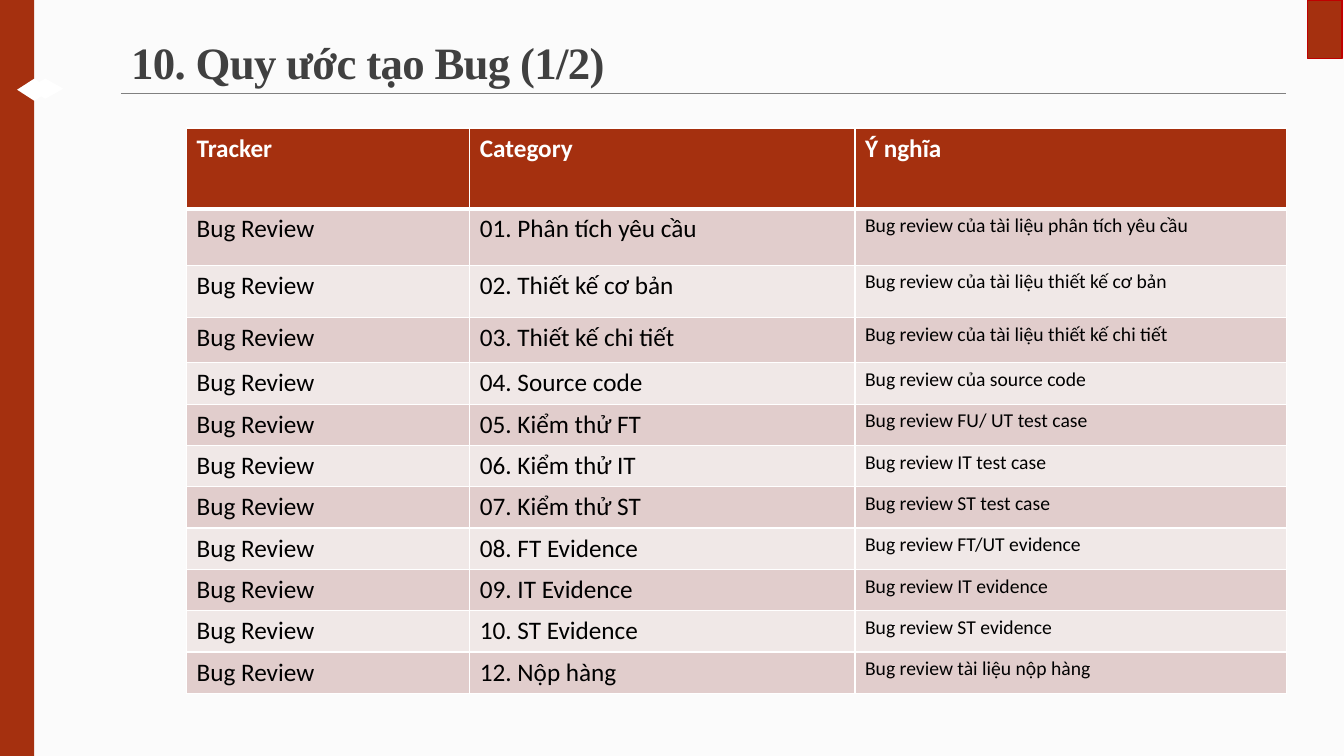
from dataclasses import dataclass

import lxml.etree
import pptx
import pptx.dml.color
import pptx.enum.shapes
import pptx.enum.text
import pptx.oxml.ns
import pptx.slide
import pptx.table
import pptx.text.text
import pptx.util

Inches = pptx.util.Inches
MSO_SHAPE = pptx.enum.shapes.MSO_SHAPE

COLORS = {
    "background": "FBFBFB",
    "accent": "A5300F",
    "tab_line": "C00000",
    "rule": "808080",
    "title": "404040",
    "white": "FFFFFF",
    "black": "000000",
    "band_dark": "E1CDCC",
    "band_light": "F0E8E7",
}


@dataclass(frozen=True)
class Decoration:
    kind: int
    left: float
    top: float
    width: float
    height: float
    fill: str
    line: str | None = None


@dataclass(frozen=True)
class BugRule:
    category: str
    meaning: str
    height: float = 0.41


DECORATIONS = [
    Decoration(MSO_SHAPE.RECTANGLE, 12.97, 0, 0.34, 0.58, "accent", "tab_line"),
    Decoration(MSO_SHAPE.DIAMOND, 0.27, 0.78, 0.36, 0.2, "white"),
    Decoration(MSO_SHAPE.RECTANGLE, 0, 0, 0.34, 7.5, "accent"),
    Decoration(MSO_SHAPE.DIAMOND, 0.17, 0.78, 0.34, 0.22, "white"),
]

TRACKER = "Bug Review"
HEADINGS = ("Tracker", "Category", "Ý nghĩa")
HEADING_HEIGHT = 0.8
COLUMN_WIDTHS = (2.81, 3.82, 4.28)
BUG_RULES = [
    BugRule("01. Phân tích yêu cầu", "Bug review của tài liệu phân tích yêu cầu", 0.56),
    BugRule("02. Thiết kế cơ bản", "Bug review của tài liệu thiết kế cơ bản", 0.52),
    BugRule("03. Thiết kế chi tiết", "Bug review của tài liệu thiết kế chi tiết", 0.45),
    BugRule("04. Source code", "Bug review của source code"),
    BugRule("05. Kiểm thử FT", "Bug review FU/ UT test case"),
    BugRule("06. Kiểm thử IT", "Bug review IT test case"),
    BugRule("07. Kiểm thử ST", "Bug review ST test case"),
    BugRule("08. FT Evidence", "Bug review FT/UT evidence"),
    BugRule("09. IT Evidence", "Bug review IT evidence"),
    BugRule("10. ST Evidence", "Bug review ST evidence"),
    BugRule("12. Nộp hàng", "Bug review tài liệu nộp hàng"),
]


def rgb(name: str) -> pptx.dml.color.RGBColor:
    return pptx.dml.color.RGBColor.from_string(COLORS[name])


def format_run(run: pptx.text.text._Run, font_name: str, size: int, color: str, bold: bool) -> None:
    run.font.name = font_name
    run.font.size = pptx.util.Pt(size)
    run.font.bold = bold
    run.font.color.rgb = rgb(color)


def add_decoration(slide: pptx.slide.Slide, item: Decoration) -> None:
    shape = slide.shapes.add_shape(
        item.kind, Inches(item.left), Inches(item.top), Inches(item.width), Inches(item.height)
    )
    shape.shadow.inherit = False
    shape.fill.solid()
    shape.fill.fore_color.rgb = rgb(item.fill)
    if item.line:
        shape.line.color.rgb = rgb(item.line)
        shape.line.width = pptx.util.Pt(1)
    else:
        shape.line.fill.background()


def add_title_rule(slide: pptx.slide.Slide) -> None:
    rule = slide.shapes.add_connector(
        pptx.enum.shapes.MSO_CONNECTOR.STRAIGHT,
        Inches(1.2), Inches(0.93), Inches(12.75), Inches(0.93),
    )
    rule.line.color.rgb = rgb("rule")
    rule.line.width = pptx.util.Pt(0.5)
    lxml.etree.SubElement(rule._element.spPr, pptx.oxml.ns.qn("a:effectLst"))


def format_title(slide: pptx.slide.Slide) -> None:
    title = slide.shapes.title
    title.left, title.top = Inches(1.2), Inches(0.31)
    title.width, title.height = Inches(11.55), Inches(0.62)
    frame = title.text_frame
    frame.text = "10. Quy ước tạo Bug (1/2)"
    frame.auto_size = pptx.enum.text.MSO_AUTO_SIZE.NONE
    frame.vertical_anchor = pptx.enum.text.MSO_ANCHOR.BOTTOM
    paragraph = frame.paragraphs[0]
    paragraph.alignment = pptx.enum.text.PP_ALIGN.LEFT
    paragraph.line_spacing = 0.85
    run = paragraph.runs[0]
    format_run(run, "Times New Roman", 32, "title", True)
    run._r.get_or_add_rPr().set("spc", "-50")


def add_borders(cell: pptx.table._Cell, row: int) -> None:
    properties = cell._tc.get_or_add_tcPr()
    # The line under the heading row is thicker
    widths = {"L": 1, "R": 1, "T": 3 if row == 1 else 1, "B": 3 if row == 0 else 1}
    for side, points in widths.items():
        line = lxml.etree.SubElement(properties, pptx.oxml.ns.qn(f"a:ln{side}"))
        line.set("w", str(pptx.util.Pt(points)))
        fill = lxml.etree.SubElement(line, pptx.oxml.ns.qn("a:solidFill"))
        color = lxml.etree.SubElement(fill, pptx.oxml.ns.qn("a:srgbClr"))
        color.set("val", COLORS["white"])


def fill_cell(cell: pptx.table._Cell, text: str, row: int, column: int) -> None:
    is_heading = row == 0
    add_borders(cell, row)
    cell.fill.solid()
    band = "band_dark" if row % 2 else "band_light"
    cell.fill.fore_color.rgb = rgb("accent" if is_heading else band)
    cell.text_frame.text = text
    size = 14 if column == 2 and not is_heading else 18
    color = "white" if is_heading else "black"
    format_run(cell.text_frame.paragraphs[0].runs[0], "Calibri", size, color, is_heading)


def add_bug_table(slide: pptx.slide.Slide) -> None:
    rows = [HEADINGS] + [(TRACKER, rule.category, rule.meaning) for rule in BUG_RULES]
    heights = [HEADING_HEIGHT] + [rule.height for rule in BUG_RULES]
    table = slide.shapes.add_table(
        len(rows), len(HEADINGS), Inches(1.85), Inches(1.27),
        Inches(sum(COLUMN_WIDTHS)), Inches(sum(heights)),
    ).table
    for column, width in zip(table.columns, COLUMN_WIDTHS):
        column.width = Inches(width)
    for row_index, (texts, height) in enumerate(zip(rows, heights)):
        table.rows[row_index].height = Inches(height)
        for column_index, text in enumerate(texts):
            fill_cell(table.cell(row_index, column_index), text, row_index, column_index)


def main() -> None:
    presentation = pptx.Presentation()
    presentation.slide_width = Inches(13.33)
    presentation.slide_height = Inches(7.5)
    title_only = presentation.slide_layouts[5]
    slide = presentation.slides.add_slide(title_only)
    slide.background.fill.solid()
    slide.background.fill.fore_color.rgb = rgb("background")

    # Side bar, corner tab and diamonds
    for item in DECORATIONS:
        add_decoration(slide, item)

    # Title and its rule
    add_title_rule(slide)
    format_title(slide)

    # Bug conventions
    add_bug_table(slide)
    presentation.save("out.pptx")


if __name__ == "__main__":
    main()
